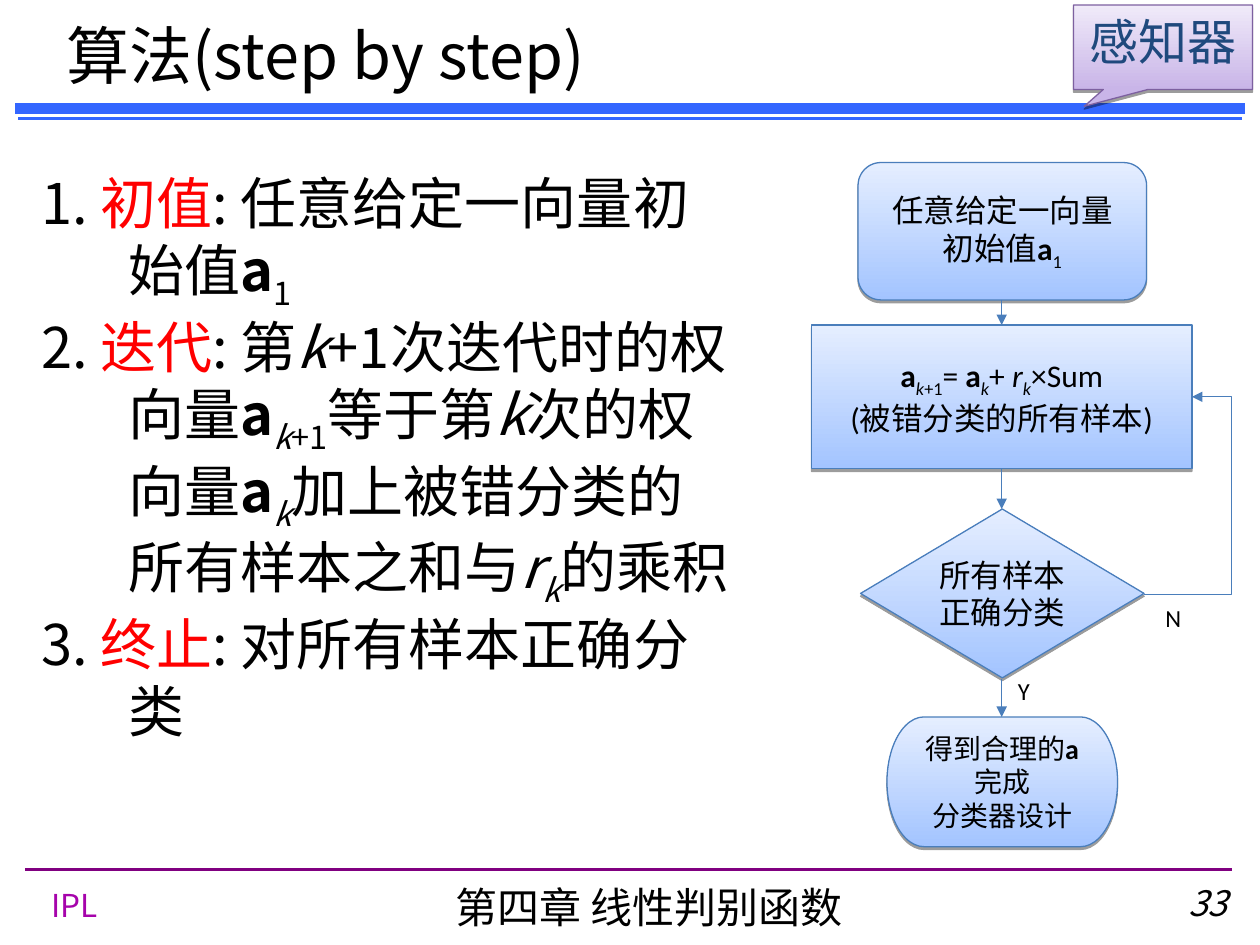
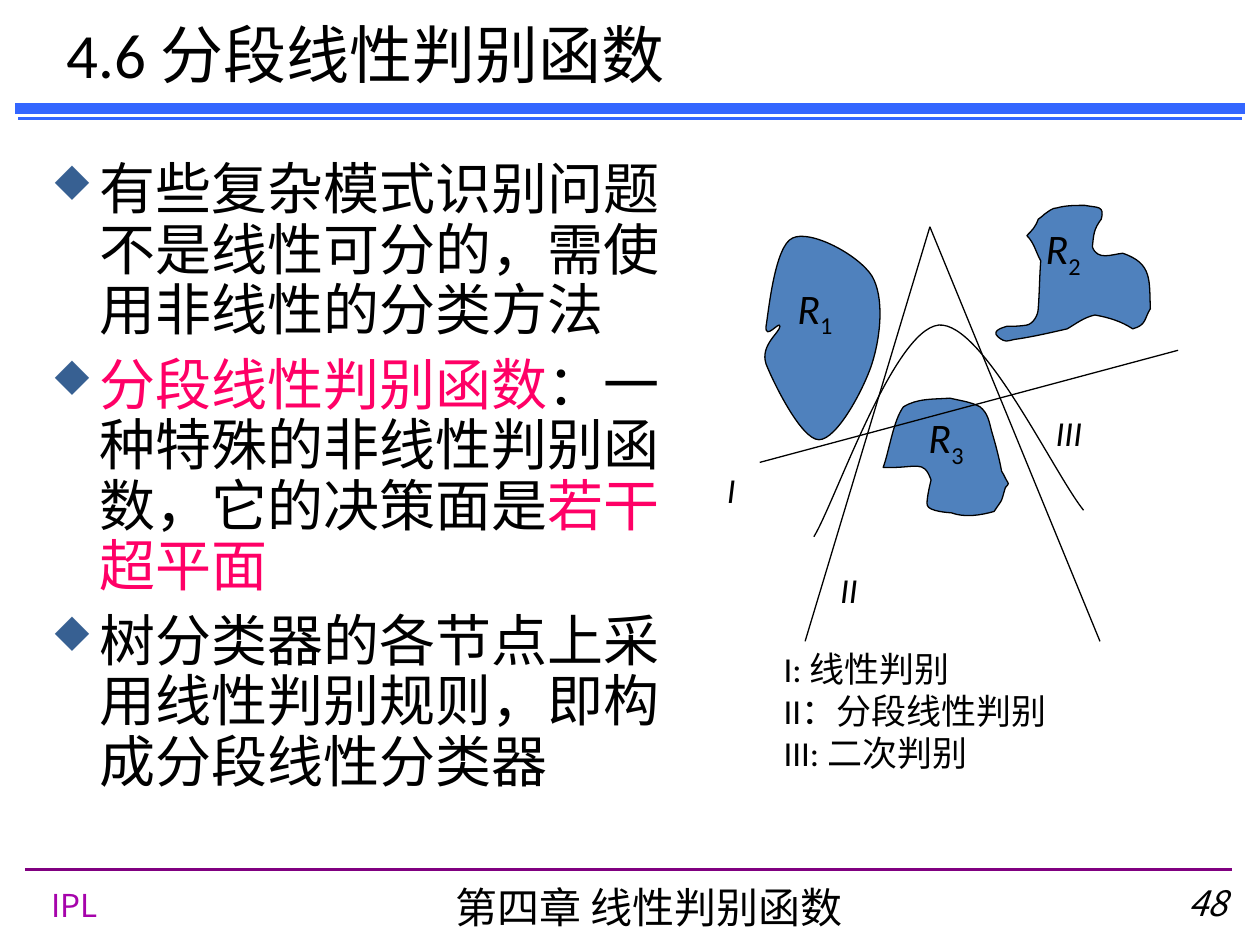
from dataclasses import dataclass

from lxml import etree
from pptx import Presentation, util as u
from pptx.dml.color import RGBColor
from pptx.enum import shapes, text
from pptx.oxml.ns import qn


@dataclass(frozen=True)
class Theme:
    cjk: str = "Noto Sans CJK SC"
    latin: str = "Calibri"
    symbols: str = "Wingdings"
    black: str = "000000"
    red: str = "FF0000"
    pink: str = "FF0066"
    navy: str = "1F497D"
    band: str = "3366FF"
    footer_rule: str = "800080"
    footer_mark: str = "A603AB"
    bullet: str = "376092"
    flow_line: str = "4A7EBB"
    flow_fill: tuple = ("A3C4FF", "E5EEFF")
    callout_line: str = "7D60A0"
    callout_fill: tuple = ("C9B5E8", "F0EAF9")
    region: str = "4F81BD"
    title: int = 36
    body: int = 32
    callout: int = 28
    chapter: int = 24
    label: int = 20
    flow: int = 18
    flow_end: int = 16
    branch: int = 14
    hairline: float = 0.75


theme = Theme()
LEFT, CENTER, RIGHT = text.PP_ALIGN.LEFT, text.PP_ALIGN.CENTER, text.PP_ALIGN.RIGHT
TOP, MIDDLE = text.MSO_ANCHOR.TOP, text.MSO_ANCHOR.MIDDLE


def write(shape, paragraphs, size, font=theme.latin, color=theme.black,
          align=LEFT, anchor=TOP, wrap=True):
    """Fill a shape with paragraphs of (text, marks) runs.

    Marks: b bold, i italic, s subscript, r red, p pink.
    """
    frame = shape.text_frame
    frame.word_wrap, frame.vertical_anchor = wrap, anchor
    for index, runs in enumerate(paragraphs):
        paragraph = frame.add_paragraph() if index else frame.paragraphs[0]
        paragraph.alignment = align
        for content, marks in runs:
            for number, line in enumerate(content.split("\n")):
                if number:
                    paragraph.add_line_break()
                if not line:
                    continue
                run = paragraph.add_run()
                run.text = line
                run.font.size = u.Pt(size)
                run.font.bold, run.font.italic = "b" in marks, "i" in marks
                tint = theme.red if "r" in marks else theme.pink if "p" in marks else color
                run.font.color.rgb = RGBColor.from_string(tint)
                run.font.name = font
                properties = run.font._element
                etree.SubElement(properties, qn("a:ea"), typeface=theme.cjk)
                if "s" in marks:
                    properties.set("baseline", "-25000")
    return frame.paragraphs


def add_line(slide, ends, color, width, kind=shapes.MSO_CONNECTOR.STRAIGHT,
             arrow=False, cap="flat"):
    connector = slide.shapes.add_connector(kind, *map(u.Inches, ends))
    connector.line.color.rgb = RGBColor.from_string(color)
    connector.line.width = u.Pt(width)
    properties = connector.element.spPr
    outline = properties.find(qn("a:ln"))
    outline.set("cap", cap)
    if arrow:
        etree.SubElement(outline, qn("a:tailEnd"), type="triangle")
    etree.SubElement(properties, qn("a:effectLst"))
    return connector


presentation = Presentation()
presentation.slide_width, presentation.slide_height = u.Inches(10), u.Inches(7.5)

# Titles, bands and footers
pages = [
    ("算法(step by step)", theme.cjk, (0.43, 0.08, 5.19, 0.7), "33"),
    ("4.6 分段线性判别函数", theme.latin, (0.43, 0.04, 5.27, 0.77), "48"),
]
slides = []
for title, title_font, title_place, page_number in pages:
    slide = presentation.slides.add_slide(presentation.slide_layouts[6])
    slides.append(slide)
    add_line(slide, (0.2, 6.9, 9.78, 6.9), theme.footer_rule, 1.5)
    for height, width in [(0.94, 2), (0.86, 6)]:
        add_line(slide, (0.16, height, 9.84, height), theme.band, width, cap="sq")
    for place, content, marks, style in [
        ((0.31, 6.98, 0.7, 0.39), "IPL", "",
         dict(size=theme.flow, font=theme.cjk, color=theme.footer_mark)),
        ((3.43, 6.95, 3.44, 0.5), "第四章 线性判别函数", "",
         dict(size=theme.chapter, font=theme.cjk, align=CENTER)),
        ((8.98, 6.95, 0.86, 0.51), page_number, "i",
         dict(size=theme.label, font=theme.cjk, align=RIGHT)),
        (title_place, title, "",
         dict(size=theme.title, font=title_font, anchor=MIDDLE)),
    ]:
        box = slide.shapes.add_textbox(*map(u.Inches, place))
        write(box, [[(content, marks)]], **style)

algorithm_slide, piecewise_slide = slides

# Algorithm steps
steps = [
    [("1. ", ""), ("初值", "r"), (": 任意给定一向量初始值", ""), ("a", "b"), ("1", "s")],
    [("2. ", ""), ("迭代", "r"), (": 第", ""), ("k", "i"), ("+1次迭代时的权向量", ""),
     ("a", "b"), ("k", "is"), ("+1", "s"), ("等于第", ""), ("k", "i"), ("次的权向量", ""),
     ("a", "b"), ("k", "is"), ("加上被错分类的所有样本之和与", ""),
     ("r", "i"), ("k", "is"), ("的乘积", "")],
    [("3. ", ""), ("终止", "r"), (": 对所有样本正确分类", "")],
]
box = algorithm_slide.shapes.add_textbox(*map(u.Inches, (0.23, 1.29, 5.7, 5.2)))
for paragraph in write(box, steps, theme.body, theme.cjk):
    properties = paragraph._p.get_or_add_pPr()
    properties.set("marL", str(u.Inches(0.69)))
    properties.set("indent", str(u.Inches(-0.69)))

# Flow chart nodes and the topic callout
preset = shapes.MSO_SHAPE
flow_style = dict(size=theme.flow, align=CENTER, anchor=MIDDLE, wrap=False)
flow_colors = (theme.flow_fill, theme.flow_line)
nodes = [
    (preset.ROUNDED_RECTANGLE, (6.81, 1.29, 2.29, 1.09), (), flow_colors,
     [("任意给定一向量\n初始值", ""), ("a", "b"), ("1", "s")], flow_style),
    (preset.RECTANGLE, (6.44, 2.58, 3.02, 1.14), (), flow_colors,
     [("a", "b"), ("k", "is"), ("+1", "s"), ("= ", ""), ("a", "b"), ("k", "is"),
      ("+ ", ""), ("r", "i"), ("k", "is"), ("×Sum\n(被错分类的所有样本)", "")], flow_style),
    (preset.FLOWCHART_DECISION, (6.83, 4.04, 2.25, 1.34), (), flow_colors,
     [("所有样本\n正确分类", "")], flow_style),
    (preset.FLOWCHART_TERMINATOR, (7.04, 5.69, 1.83, 1.03), (), flow_colors,
     [("得到合理的", ""), ("a\n", "b"), ("完成\n分类器设计", "")],
     flow_style | dict(size=theme.flow_end)),
    (preset.RECTANGULAR_CALLOUT, (8.52, 0.04, 1.42, 0.67), (-0.44, 0.7),
     (theme.callout_fill, theme.callout_line), [("感知器", "")],
     dict(size=theme.callout, color=theme.navy, align=CENTER)),
]
for kind, place, adjustments, (gradient, outline), runs, style in nodes:
    node = algorithm_slide.shapes.add_shape(kind, *map(u.Inches, place))
    for index, value in enumerate(adjustments):
        node.adjustments[index] = value
    node.fill.gradient()
    node.fill.gradient_angle = 90
    for stop, position, color in zip(node.fill.gradient_stops, (0, 1), gradient):
        stop.position, stop.color.rgb = position, RGBColor.from_string(color)
    node.line.color.rgb = RGBColor.from_string(outline)
    node.line.width = u.Pt(theme.hairline)
    node.shadow.inherit = False
    effects = node.element.spPr.find(qn("a:effectLst"))
    shadow = etree.SubElement(effects, qn("a:outerShdw"), blurRad="0",
                              dist=str(u.Pt(1.6)), dir="5400000", rotWithShape="0")
    shadow_color = etree.SubElement(shadow, qn("a:srgbClr"), val=theme.black)
    etree.SubElement(shadow_color, qn("a:alpha"), val="38000")
    write(node, [runs], **style)

# Flow arrows and branch labels
for top, bottom in [(2.38, 2.58), (3.72, 4.04), (5.39, 5.69)]:
    add_line(algorithm_slide, (7.95, top, 7.95, bottom), theme.flow_line,
             theme.hairline, arrow=True)
loop_back = add_line(algorithm_slide, (9.08, 4.72, 9.46, 3.15), theme.flow_line,
                     theme.hairline, shapes.MSO_CONNECTOR.ELBOW, arrow=True)
geometry = loop_back.element.spPr.find(qn("a:prstGeom"))
etree.SubElement(geometry.find(qn("a:avLst")), qn("a:gd"), name="adj1", fmla="val 182000")
for label, place in [("N", (9.15, 4.74, 0.32, 0.34)), ("Y", (7.98, 5.32, 0.29, 0.34))]:
    box = algorithm_slide.shapes.add_textbox(*map(u.Inches, place))
    write(box, [[(label, "")]], theme.branch, wrap=False)

# Piecewise discriminant bullets
points = [
    [("有些复杂模式识别问题不是线性可分的，需使用非线性的分类方法", "")],
    [("分段线性判别函数", "p"), ("：一种特殊的非线性判别函数，它的决策面是", ""),
     ("若干超平面", "p")],
    [("树分类器的各节点上采用线性判别规则，即构成分段线性分类器", "")],
]
box = piecewise_slide.shapes.add_textbox(*map(u.Inches, (0.31, 1.23, 5.2, 5.51)))
for paragraph in write(box, points, theme.body):
    paragraph.line_spacing, paragraph.space_before = 0.9, u.Pt(8)
    properties = paragraph._p.get_or_add_pPr()
    properties.set("marL", str(u.Inches(0.38)))
    properties.set("indent", str(u.Inches(-0.38)))
    bullet_color = etree.SubElement(properties, qn("a:buClr"))
    etree.SubElement(bullet_color, qn("a:srgbClr"), val=theme.bullet)
    etree.SubElement(properties, qn("a:buSzPct"), val="75000")
    etree.SubElement(properties, qn("a:buFont"), typeface=theme.symbols, charset="2")
    etree.SubElement(properties, qn("a:buChar"), char="u")  # the diamond in Wingdings

# Class regions and the quadratic boundary: a start point, then three points per Bézier segment
region_1 = [
    (6.08, 2.59), (6.1, 2.47), (6.15, 1.95), (6.29, 1.89), (6.43, 1.82), (6.81, 2.02),
    (6.92, 2.19), (7.02, 2.36), (6.99, 2.67), (6.92, 2.89), (6.85, 3.1), (6.64, 3.49),
    (6.5, 3.49), (6.36, 3.49), (6.14, 3.04), (6.08, 2.89), (6.03, 2.74), (6.19, 2.64),
    (6.19, 2.59), (6.19, 2.54), (6.07, 2.71), (6.08, 2.59)]
region_2 = [
    (8.15, 1.87), (8.21, 1.93), (8.22, 2), (8.26, 2.07), (8.25, 2.2), (8.25, 2.33),
    (8.24, 2.45), (8.24, 2.5), (8.2, 2.57), (8.15, 2.58), (8.09, 2.59), (8.04, 2.59),
    (7.99, 2.59), (7.96, 2.6), (7.83, 2.63), (7.96, 2.7), (7.99, 2.72), (8.04, 2.69),
    (8.08, 2.69), (8.21, 2.67), (8.34, 2.64), (8.47, 2.61), (8.54, 2.57), (8.6, 2.52),
    (8.69, 2.5), (8.8, 2.52), (8.9, 2.55), (8.99, 2.61), (9.1, 2.58), (9.08, 2.53),
    (9.13, 2.45), (9.12, 2.23), (9.15, 2.09), (8.91, 2.01), (8.82, 2.02), (8.71, 2.07),
    (8.67, 1.96), (8.68, 1.86), (8.68, 1.82), (8.74, 1.74), (8.77, 1.63), (8.71, 1.65),
    (8.61, 1.63), (8.53, 1.63), (8.46, 1.63), (8.39, 1.65), (8.35, 1.65), (8.32, 1.68),
    (8.29, 1.7), (8.27, 1.72), (8.24, 1.74), (8.24, 1.74), (8.22, 1.8), (8.19, 1.83),
    (8.15, 1.87)]
region_3 = [
    (7.95, 3.74), (7.93, 3.63), (7.9, 3.52), (7.87, 3.42), (7.85, 3.34), (7.84, 3.28),
    (7.78, 3.23), (7.71, 3.19), (7.62, 3.18), (7.54, 3.16), (7.41, 3.17), (7.28, 3.16),
    (7.17, 3.23), (7.09, 3.34), (7.06, 3.57), (7.01, 3.71), (7.28, 3.72), (7.33, 3.64),
    (7.39, 3.81), (7.38, 3.85), (7.35, 3.98), (7.36, 4.01), (7.37, 4.06), (7.54, 4.07),
    (7.55, 4.07), (7.66, 4.11), (7.78, 4.09), (7.89, 4.06), (7.97, 3.94), (7.94, 4),
    (7.98, 3.87), (7.99, 3.86), (8.01, 3.84), (8, 3.83), (7.98, 3.8), (7.97, 3.77),
    (7.95, 3.74)]
quadratic = [(6.46, 4.26), (6.63, 3.98), (7.09, 2.62), (7.45, 2.58),
             (7.8, 2.55), (8.36, 3.75), (8.6, 4.05)]
for curve in (region_1, region_2, region_3, quadratic):
    closed = curve[0] == curve[-1]
    start, *vertices = [tuple(map(u.Inches, point)) for point in curve]
    builder = piecewise_slide.shapes.build_freeform(*start)
    builder.add_line_segments(vertices, close=closed)
    outline = builder.convert_to_shape()
    # Join every three straight segments into one cubic curve
    segments = list(outline.element.iter(qn("a:lnTo")))
    for first, second, third in zip(*[iter(segments)] * 3):
        bezier = etree.Element(qn("a:cubicBezTo"))
        first.addprevious(bezier)
        for segment in (first, second, third):
            bezier.append(segment[0])
            segment.getparent().remove(segment)
    if closed:
        outline.fill.solid()
        outline.fill.fore_color.rgb = RGBColor.from_string(theme.region)
    else:
        outline.fill.background()
    outline.line.color.rgb = RGBColor.from_string(theme.black)
    outline.line.width = u.Pt(theme.hairline)
    outline.shadow.inherit = False

# Linear and piecewise linear boundaries
for ends in [(6.39, 5.09, 7.38, 1.8), (8.73, 5.09, 7.38, 1.8), (6.03, 3.67, 9.35, 2.78)]:
    add_line(piecewise_slide, ends, theme.black, theme.hairline)

# Region labels, boundary labels and legend
for number, left, top in [("1", 6.23, 2.19), ("2", 8.2, 1.72), ("3", 7.27, 3.22)]:
    box = piecewise_slide.shapes.add_textbox(*map(u.Inches, (left, top, 0.48, 0.56)))
    write(box, [[("R", "i"), (number, "s")]], theme.chapter, wrap=False)
for numeral, left, top, width in [("I", 5.67, 3.67, 0.45), ("II", 6.57, 4.46, 1.26),
                                  ("III", 8.28, 3.22, 1.25)]:
    box = piecewise_slide.shapes.add_textbox(*map(u.Inches, (left, top, width, 0.44)))
    write(box, [[(numeral, "i")]], theme.label)
legend = ["I: 线性判别", "II：分段线性判别", "III: 二次判别"]
box = piecewise_slide.shapes.add_textbox(*map(u.Inches, (6.12, 5.09, 3.32, 1.1)))
write(box, [[(entry, "")] for entry in legend], theme.label)

presentation.save("out.pptx")
